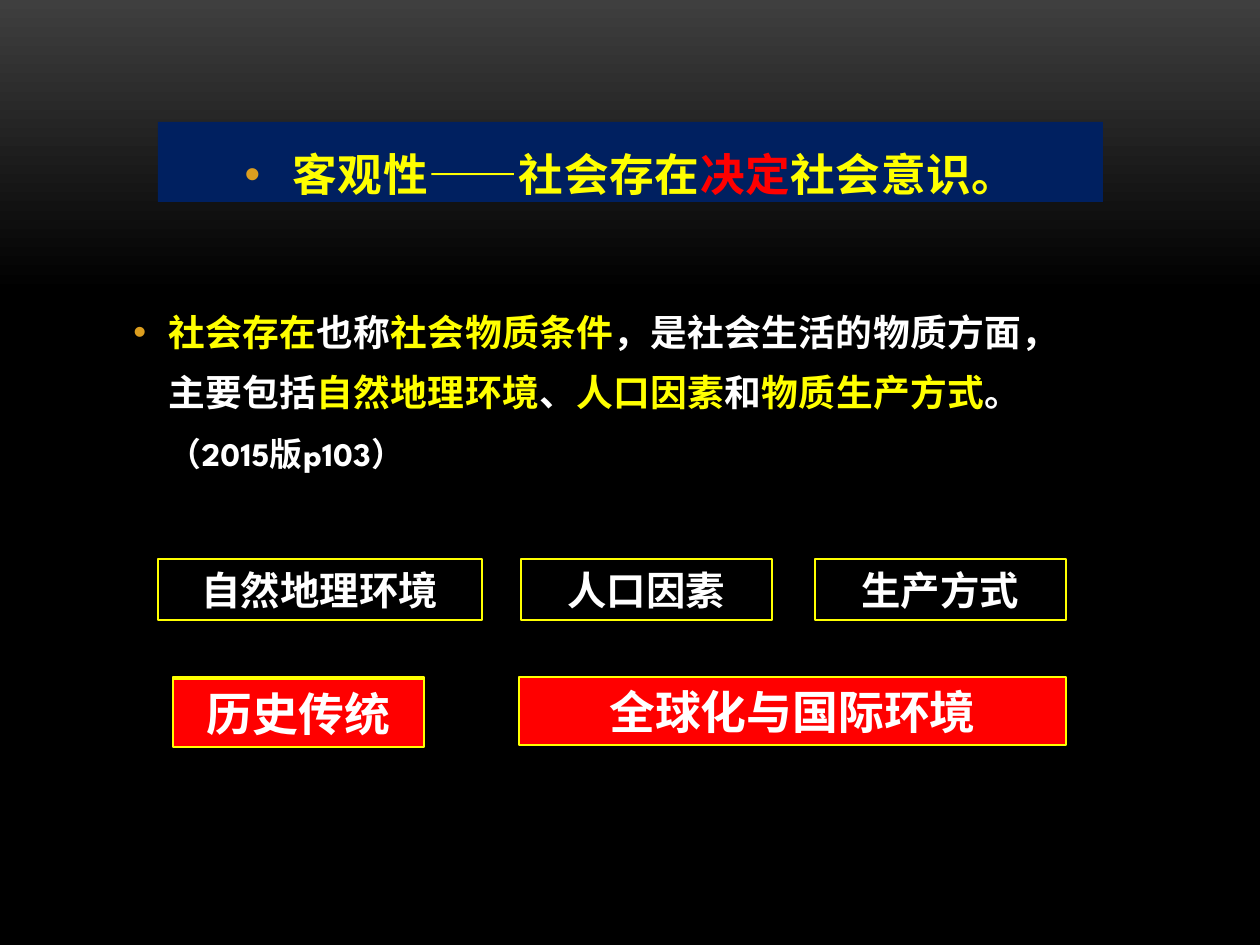
from lxml import etree
from pptx import Presentation
from pptx.dml.color import RGBColor
from pptx.enum.shapes import MSO_SHAPE
from pptx.enum.text import MSO_ANCHOR, MSO_AUTO_SIZE, PP_ALIGN
from pptx.oxml.ns import qn
from pptx.util import Emu, Pt

RECTANGLE = MSO_SHAPE.RECTANGLE
TOP, MIDDLE = MSO_ANCHOR.TOP, MSO_ANCHOR.MIDDLE
LEFT, CENTER = PP_ALIGN.LEFT, PP_ALIGN.CENTER
NO_AUTOFIT = MSO_AUTO_SIZE.NONE

FONT = "League Spartan"
PX = 914400 / 126
COLORS = {
    "navy": "002060", "yellow": "FFFF00", "red": "FF0000", "white": "FFFFFF",
    "bullet": "DC9E1F", "gray": "3F3F3F", "black": "000000",
}

# Spans: text, colour, size in points
HEADING = [
    ("客观性——社会存在", "yellow", 25.5),
    ("决定", "red", 25.5),
    ("社会意识。", "yellow", 25.5),
]
DEFINITION = [
    ("社会存在", "yellow", 21),
    ("也称", "white", 21),
    ("社会物质条件", "yellow", 21),
    ("，是社会生活的物质方面，主要包括", "white", 21),
    ("自然地理环境", "yellow", 21),
    ("、", "white", 21),
    ("人口因素", "yellow", 21),
    ("和", "white", 21),
    ("物质生产方式", "yellow", 21),
    ("。", "white", 21),
    ("（2015版p103）", "white", 18.8),
]
# Rows of boxes: height, text size, fill, then (text, left, top, width)
BOX_ROWS = [
    (61, 22.5, None, [
        ("自然地理环境", 158, 559, 324),
        ("人口因素", 521, 559, 251),
        ("生产方式", 815, 559, 251),
    ]),
    (68, 26.2, "red", [
        ("全球化与国际环境", 519, 677, 547),
        ("历史传统", 173, 677, 251),
        ("历史传统", 173, 679, 251),
    ]),
]


def px(value):
    return Emu(round(value * PX))


def rgb(name):
    return RGBColor.from_string(COLORS[name])


def place(shape, *bounds):
    for name, value in zip(("left", "top", "width", "height"), bounds):
        setattr(shape, name, px(value))


def set_frame(frame, anchor):
    formats = {"word_wrap": True, "auto_size": NO_AUTOFIT, "vertical_anchor": anchor}
    for name, value in formats.items():
        setattr(frame, name, value)


def add_spans(para, spans, spacing=0):
    """Add bold coloured runs; spacing is in hundredths of a point."""
    for text, color, size in spans:
        span = para.add_run()
        span.text = text
        for name, value in {"name": FONT, "size": Pt(size), "bold": True}.items():
            setattr(span.font, name, value)
        span.font.color.rgb = rgb(color)
        if spacing:
            span.font._element.set("spc", str(spacing))


def format_bullet(para, indent, line_spacing, space_after, alignment):
    properties = para._p.get_or_add_pPr()
    properties.set("marL", str(px(indent)))
    properties.set("indent", str(-px(indent)))
    color = etree.SubElement(properties, qn("a:buClr"))
    etree.SubElement(color, qn("a:srgbClr"), val=COLORS["bullet"])
    etree.SubElement(properties, qn("a:buFont"), typeface="Arial")
    etree.SubElement(properties, qn("a:buChar"), char="•")
    formats = {
        "line_spacing": Pt(line_spacing), "space_before": Pt(0),
        "space_after": Pt(space_after), "alignment": alignment,
    }
    for name, value in formats.items():
        setattr(para, name, value)


def set_background(page):
    fill = page.background.fill
    fill.gradient()
    fill.gradient_angle = 270
    for stop, (position, color) in zip(fill.gradient_stops, [(0, "gray"), (0.31, "black")]):
        stop.position = position
        stop.color.rgb = rgb(color)


def add_heading(page):
    body = page.placeholders[1]
    place(body, 158, 122, 945, 80)
    body.fill.solid()
    body.fill.fore_color.rgb = rgb("navy")
    set_frame(body.text_frame, TOP)
    para = body.text_frame.paragraphs[0]
    format_bullet(para, 48, 41.2, 6, CENTER)
    add_spans(para, HEADING, 30)


def add_definition(page):
    box = page.shapes.add_textbox(px(121), px(289), px(945), px(193))
    set_frame(box.text_frame, TOP)
    para = box.text_frame.paragraphs[0]
    format_bullet(para, 35, 33.8, 4.5, LEFT)
    add_spans(para, DEFINITION, 20)


def add_box(page, text, bounds, size, fill):
    box = page.shapes.add_shape(RECTANGLE, *map(px, bounds))
    box.shadow.inherit = False
    if fill:
        box.fill.solid()
        box.fill.fore_color.rgb = rgb(fill)
    else:
        box.fill.background()
    box.line.color.rgb = rgb("yellow")
    box.line.width = Pt(0.75)
    frame = box.text_frame
    set_frame(frame, MIDDLE)
    frame.margin_top = frame.margin_bottom = 0
    para = frame.paragraphs[0]
    para.alignment = CENTER
    add_spans(para, [(text, "white", size)])


def main():
    deck = Presentation()
    deck.slide_width, deck.slide_height = px(1260), px(945)
    page = deck.slides.add_slide(deck.slide_layouts[1])
    title = page.shapes.title._element
    title.getparent().remove(title)
    set_background(page)
    add_heading(page)
    add_definition(page)
    for height, size, fill, boxes in BOX_ROWS:
        for text, left, top, width in boxes:
            add_box(page, text, (left, top, width, height), size, fill)
    deck.save("out.pptx")


if __name__ == "__main__":
    main()
